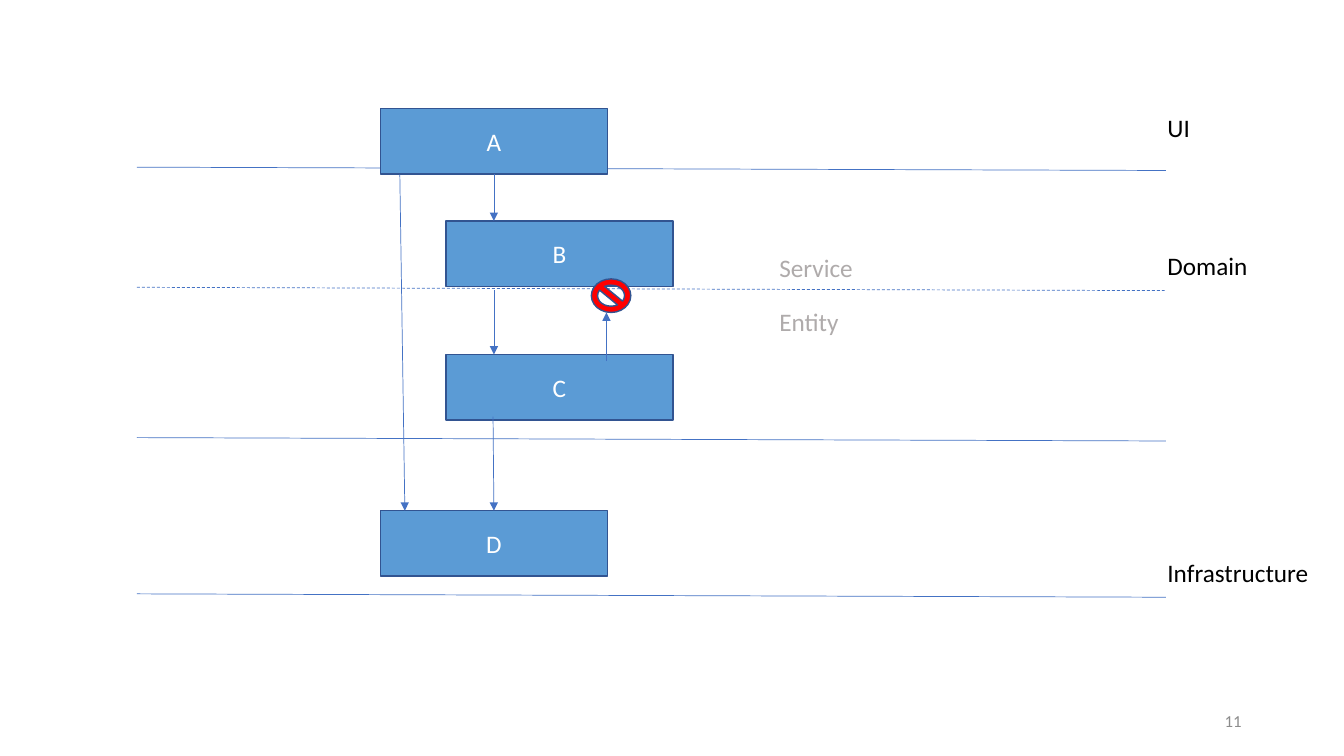
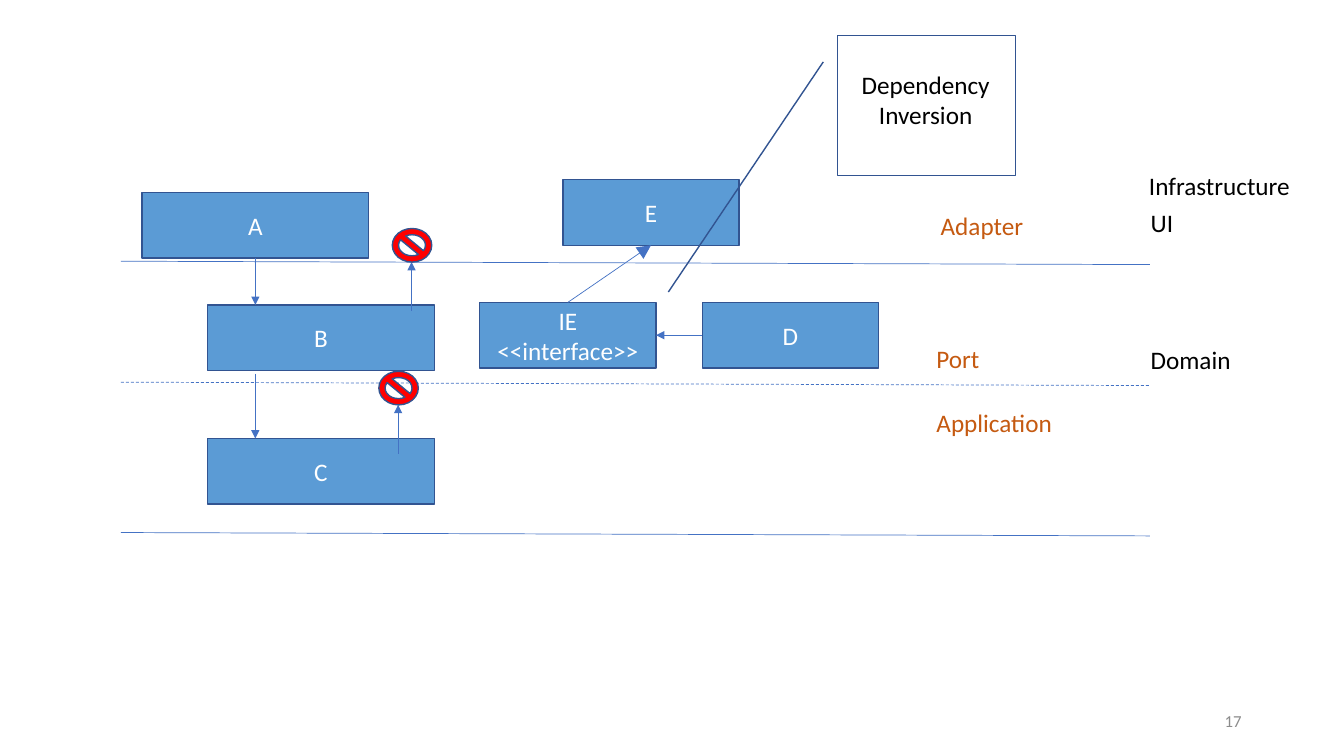
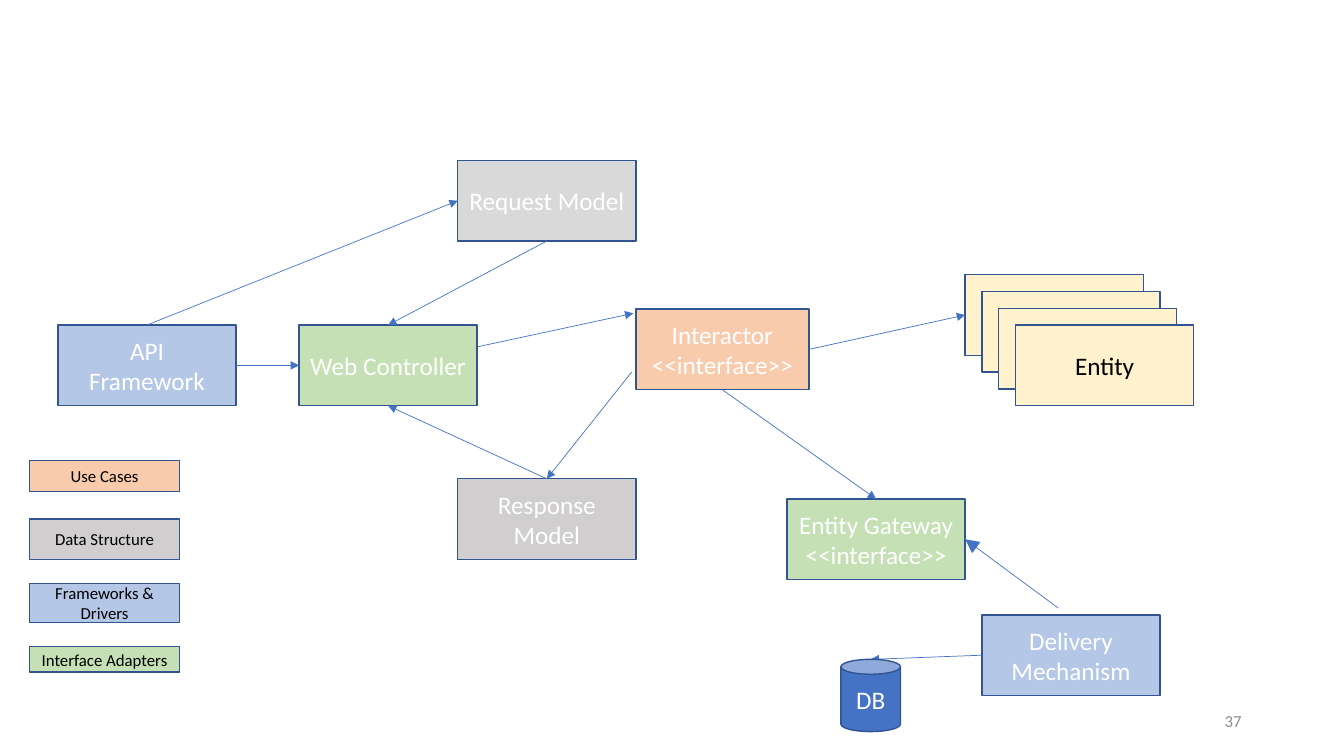
from dataclasses import dataclass
from typing import NamedTuple, Union

from lxml.etree import SubElement
from pptx import Presentation
from pptx.dml.color import RGBColor
from pptx.enum.dml import MSO_LINE
from pptx.enum.shapes import MSO_CONNECTOR, MSO_SHAPE
from pptx.enum.text import MSO_ANCHOR, PP_ALIGN
from pptx.oxml.ns import qn
from pptx.shapes.autoshape import Shape
from pptx.slide import Slide
from pptx.util import Emu, Inches, Pt

COLS, ROWS = 16, 9
CELL = Inches(7.5) / ROWS


@dataclass(frozen=True)
class Theme:
    font: str = "Calibri"
    body: int = 18
    small: int = 12
    black: str = "000000"
    white: str = "FFFFFF"
    mute: str = "AFABAB"
    page: str = "8C8C8C"
    rust: str = "C55A11"
    edge: str = "325491"
    wire: str = "4472C4"
    box: str = "5B9BD5"
    ban: str = "FF0000"
    blue: str = "B4C7E7"
    green: str = "C5E0B4"
    peach: str = "F8CBAD"
    cream: str = "FFF2CC"
    grey: str = "D0CECE"
    pale: str = "D9D9D9"


T = Theme()


class Spot(NamedTuple):
    x: float
    y: float


class Pin(NamedTuple):
    """A connection site of a shape."""
    shape: Shape
    site: int


class Size(NamedTuple):
    w: float
    h: float


End = Union[Spot, Pin]
TOP, LEFT, BOTTOM, RIGHT = range(4)

WIDE = Size(2.7, 0.78)
SLIM = Size(2.1, 0.78)
NODE = Size(2.12, 0.96)
SIGN = Size(0.47, 0.4)
LABEL = Size(2.1, 0.48)


@dataclass(frozen=True)
class Label:
    text: str
    x: float
    y: float
    color: str = T.black


@dataclass(frozen=True)
class Box:
    text: str
    x: float
    y: float
    size: Size = NODE
    fill: str = T.box
    color: str = T.white
    points: int = T.body
    kind: MSO_SHAPE = MSO_SHAPE.RECTANGLE


@dataclass(frozen=True)
class Wire:
    start: End
    end: End
    head: str = "med"
    dash: bool = False


def cells(*values: float) -> list[Emu]:
    return [Emu(round(v * CELL)) for v in values]


def rgb(code: str) -> RGBColor:
    return RGBColor.from_string(code)


def write(shape: Shape, text: str, color: str, points: int, align: PP_ALIGN) -> None:
    frame = shape.text_frame
    frame.word_wrap = True
    frame.text = text
    for para in frame.paragraphs:
        para.alignment = align
        para.font.name = T.font
        para.font.size = Pt(points)
        para.font.color.rgb = rgb(color)


def add_label(slide: Slide, label: Label, size: Size = LABEL,
              points: int = T.body, align: PP_ALIGN = PP_ALIGN.LEFT) -> Shape:
    shape = slide.shapes.add_textbox(*cells(label.x, label.y, *size))
    write(shape, label.text, label.color, points, align)
    return shape


def add_box(slide: Slide, box: Box) -> Shape:
    shape = slide.shapes.add_shape(box.kind, *cells(box.x, box.y, *box.size))
    shape.shadow.inherit = False
    if box.fill:
        shape.fill.solid()
        shape.fill.fore_color.rgb = rgb(box.fill)
    else:
        shape.fill.background()
    shape.line.color.rgb = rgb(T.edge)
    shape.line.width = Pt(1)
    if box.text:
        write(shape, box.text, box.color, box.points, PP_ALIGN.CENTER)
        shape.text_frame.vertical_anchor = MSO_ANCHOR.MIDDLE
    return shape


def add_wire(slide: Slide, wire: Wire) -> None:
    """Draw a line; ends given as pins are glued to their shapes."""
    spots = [Spot(0, 0) if isinstance(end, Pin) else end
             for end in (wire.start, wire.end)]
    line = slide.shapes.add_connector(
        MSO_CONNECTOR.STRAIGHT, *cells(*spots[0], *spots[1]))
    if isinstance(wire.start, Pin):
        line.begin_connect(*wire.start)
    if isinstance(wire.end, Pin):
        line.end_connect(*wire.end)
    line.line.color.rgb = rgb(T.wire)
    line.line.width = Pt(0.5)
    if wire.dash:
        line.line.dash_style = MSO_LINE.DASH
    props = line.element.spPr
    if wire.head:
        SubElement(props.find(qn("a:ln")), qn("a:tailEnd"),
                   type="triangle", w=wire.head, len=wire.head)
    SubElement(props, qn("a:effectLst"))


def add_rules(slide: Slide, x: float, rows: list[float], dashed: float) -> None:
    """Draw the slightly sloping borders between layers."""
    for y in rows:
        add_wire(slide, Wire(Spot(x, y), Spot(x + 12.25, y + 0.04), "", y == dashed))


def add_ban(slide: Slide, x: float, y: float, lean: float = 0.23) -> None:
    """Draw a no-entry sign with the barred arrow below it."""
    tip = Spot(x + lean, y + 0.4)
    add_wire(slide, Wire(Spot(tip.x, tip.y + 0.58), tip))
    add_box(slide, Box("", x, y, SIGN, T.ban, kind=MSO_SHAPE.NO_SYMBOL))


def add_stack(slide: Slide, x: float, y: float) -> None:
    """Draw A, B and C with the arrows leading down through them."""
    mid, inner = x + WIDE.w / 2, x + 0.78
    row_b, row_c = y + 1.34, y + 2.93
    top = add_box(slide, Box("A", x, y, WIDE))
    add_box(slide, Box("B", inner, row_b, WIDE))
    add_box(slide, Box("C", inner, row_c, WIDE))
    add_wire(slide, Wire(Pin(top, BOTTOM), Spot(mid, row_b)))
    add_wire(slide, Wire(Spot(mid, row_b + WIDE.h + 0.04), Spot(mid, row_c)))


def draw_layers(slide: Slide) -> None:
    add_rules(slide, 1.63, [1.99, 3.42, 5.21, 7.07], 3.42)
    for label in (
        Label("UI", 13.78, 1.28),
        Label("Domain", 13.78, 2.92),
        Label("Infrastructure", 13.78, 6.58),
        Label("Service", 9.16, 2.94, T.mute),
        Label("Entity", 9.16, 3.59, T.mute),
    ):
        add_label(slide, label)
    add_stack(slide, 4.53, 1.29)
    base = add_box(slide, Box("D", 4.53, 6.08, WIDE))
    add_wire(slide, Wire(Spot(4.76, 2.08), Spot(4.82, 6.08)))
    add_wire(slide, Wire(Spot(5.87, 4.96), Pin(base, TOP)))
    add_ban(slide, 7.04, 3.32, 0.18)


def draw_ports(slide: Slide) -> None:
    add_rules(slide, 1.44, [3.11, 4.55, 6.34], 4.55)
    for label in (
        Label("Adapter", 11.08, 2.44, T.rust),
        Label("Port", 11.03, 4.03, T.rust),
        Label("Application", 11.03, 4.79, T.rust),
        Label("Infrastructure", 13.56, 1.97),
        Label("UI", 13.58, 2.41),
        Label("Domain", 13.58, 4.04),
    ):
        add_label(slide, label)
    add_stack(slide, 1.69, 2.29)
    for x, y in ((4.67, 2.72), (4.51, 4.42)):
        add_ban(slide, x, y)
    user = add_box(slide, Box("D", 8.36, 3.6, SLIM))
    port = add_box(slide, Box("IE\n<<interface>>", 5.71, 3.6, SLIM))
    real = add_box(slide, Box("E", 6.7, 2.14, SLIM))
    add_wire(slide, Wire(Pin(port, TOP), Pin(real, BOTTOM), "lg"))
    add_wire(slide, Wire(Pin(user, LEFT), Pin(port, RIGHT)))
    note = add_box(slide, Box("", 9.97, 0.42, Size(2.12, 1.67), "",
                              kind=MSO_SHAPE.LINE_CALLOUT_1))
    for i, share in enumerate((0.19, -0.08, 1.83, -0.95)):
        note.adjustments[i] = share
    add_label(slide, Label("Dependency Inversion", 10.09, 0.76),
              Size(1.86, 0.85), align=PP_ALIGN.CENTER)


def draw_flow(slide: Slide) -> None:
    def node(text: str, x: float, y: float, fill: str, size: Size = NODE) -> Shape:
        return add_box(slide, Box(text, x, y, size, fill))

    api = node("API\nFramework", 0.69, 3.87, T.blue)
    ask = node("Request Model", 5.45, 1.91, T.pale)
    reply = node("Response Model", 5.45, 5.7, T.grey)
    core = node("Interactor\n<<interface>>", 7.57, 3.68, T.peach, Size(2.06, 0.96))
    web = node("Web Controller", 3.56, 3.87, T.green)
    gate = node("Entity Gateway\n<<interface>>", 9.37, 5.94, T.green)
    cards = [
        add_box(slide, Box(text, 11.49 + i * 0.2, 3.27 + i * 0.2,
                           fill=T.cream, color=T.black))
        for i, text in enumerate(("", "", "", "Entity"))
    ]
    for text, y, high, fill in (
        ("Use Cases", 5.48, 0.37, T.peach),
        ("Data Structure", 6.18, 0.48, T.grey),
        ("Frameworks & Drivers", 6.95, 0.46, T.blue),
        ("Interface Adapters", 7.7, 0.3, T.green),
    ):
        add_box(slide, Box(text, 0.35, y, Size(1.79, high), fill, T.black, T.small))
    tool = node("Delivery Mechanism", 11.69, 7.32, T.blue)
    store = Box("DB", 10.01, 7.85, Size(0.71, 0.86), T.wire, kind=MSO_SHAPE.CAN)
    for wire in (
        Wire(Pin(api, TOP), Pin(ask, LEFT)),
        Wire(Pin(api, RIGHT), Pin(web, LEFT)),
        Wire(Pin(ask, BOTTOM), Pin(web, TOP)),
        Wire(Spot(5.68, 4.13), Spot(7.54, 3.73)),
        Wire(Spot(7.52, 4.43), Pin(reply, TOP)),
        Wire(Pin(reply, TOP), Pin(web, BOTTOM)),
        Wire(Pin(core, RIGHT), Pin(cards[0], LEFT)),
        Wire(Pin(core, BOTTOM), Pin(gate, TOP)),
        Wire(Spot(12.6, 7.24), Pin(gate, RIGHT), "lg"),
        Wire(Pin(tool, LEFT), Spot(store.x + store.size.w / 2, store.y)),
    ):
        add_wire(slide, wire)
    add_box(slide, store)


def add_page(slide: Slide, number: int) -> None:
    shape = add_label(slide, Label(str(number), 11.3, 8.34, T.page),
                      Size(3.6, 0.48), T.small, PP_ALIGN.RIGHT)
    shape.text_frame.vertical_anchor = MSO_ANCHOR.MIDDLE


def main() -> None:
    deck = Presentation()
    deck.slide_width, deck.slide_height = cells(COLS, ROWS)
    blank = deck.slide_layouts.get_by_name("Blank")
    for number, draw in ((11, draw_layers), (17, draw_ports), (37, draw_flow)):
        slide = deck.slides.add_slide(blank)
        draw(slide)
        add_page(slide, number)
    deck.save("out.pptx")


if __name__ == "__main__":
    main()
